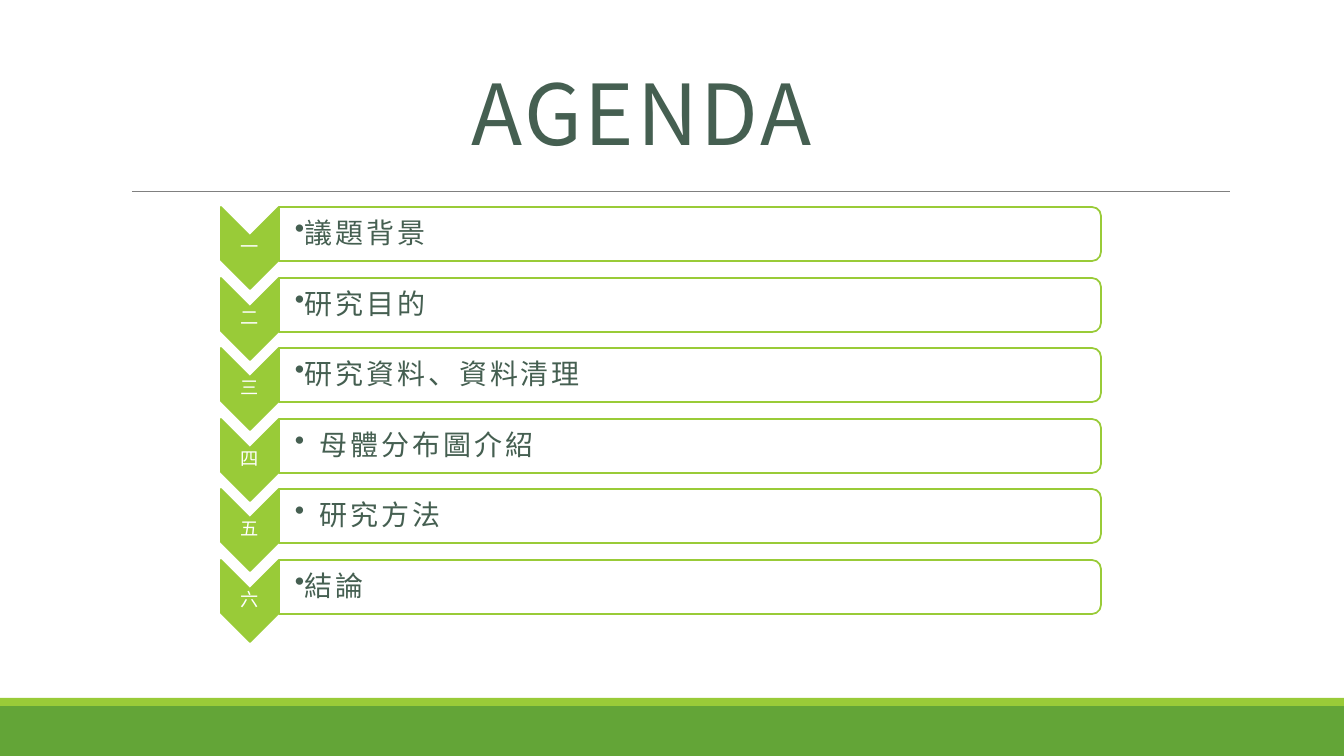
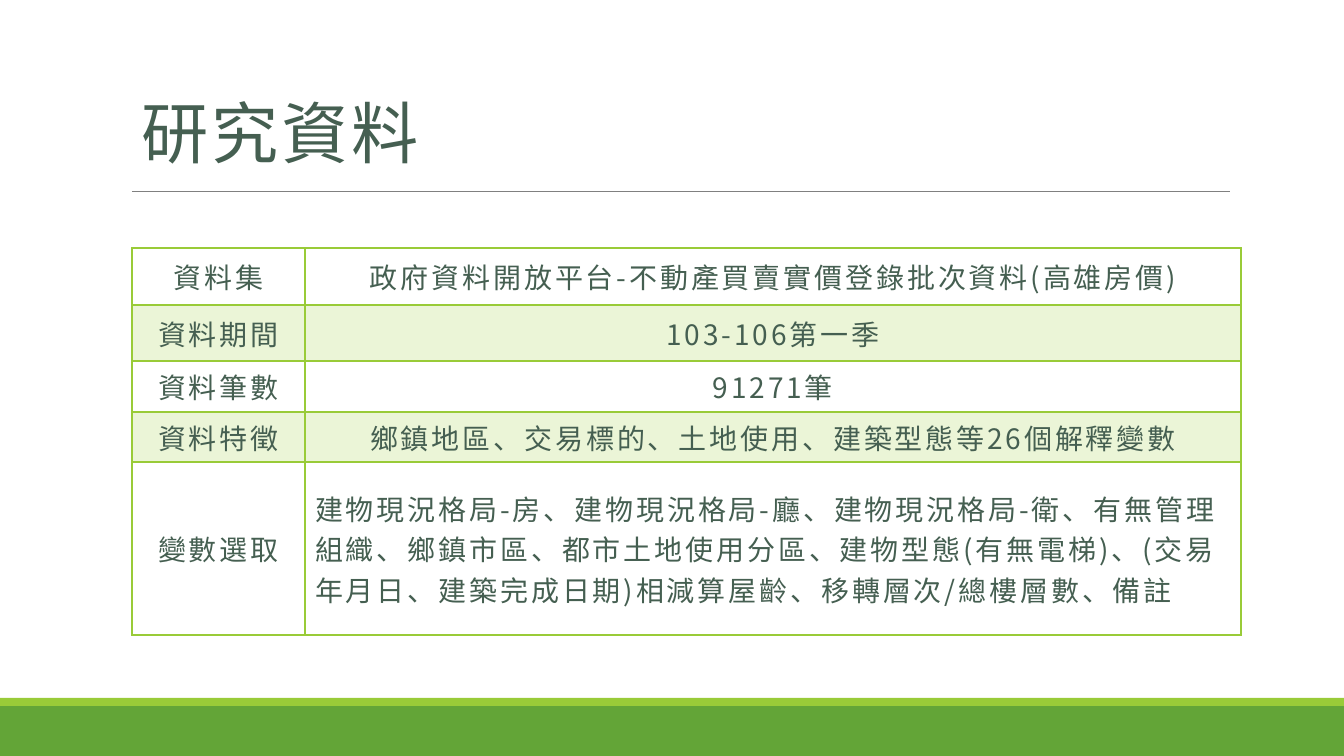
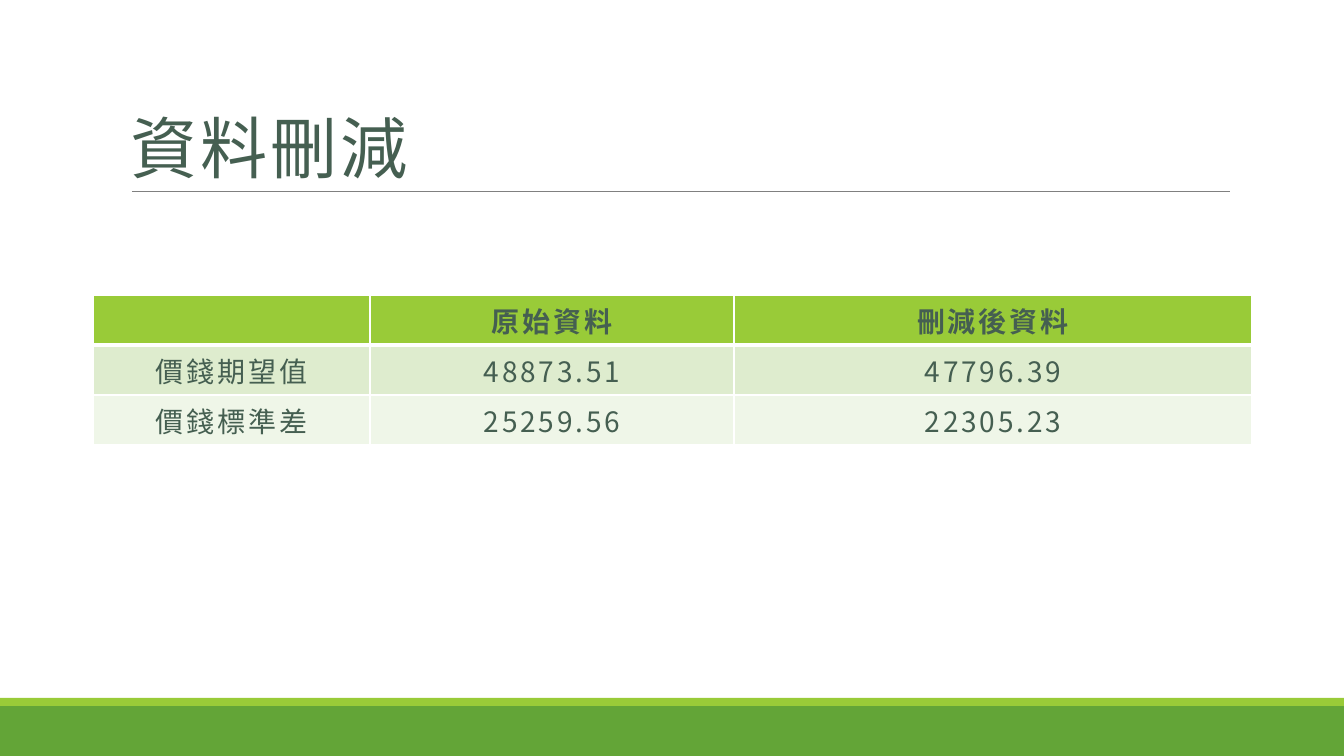
from dataclasses import dataclass

from lxml.etree import SubElement
from pptx import Presentation
from pptx.dml.color import RGBColor
from pptx.enum.shapes import MSO_CONNECTOR as Connector, MSO_SHAPE as Shape
from pptx.enum.text import MSO_ANCHOR as Anchor, PP_ALIGN as Align
from pptx.oxml.ns import qn
from pptx.oxml.xmlchemy import OxmlElement
from pptx.util import Emu, Pt

EMU_PER_PX = 914400 / 100.8
SLIDE_W, SLIDE_H = 1344, 756

WHITE = RGBColor(0xFF, 0xFF, 0xFF)
GREEN = RGBColor(0x63, 0xA5, 0x37)
LIME = RGBColor(0x99, 0xCB, 0x38)
PALE_LIME = RGBColor(0xEB, 0xF5, 0xD7)
BAND_DARK = RGBColor(0xDE, 0xEC, 0xCE)
BAND_LIGHT = RGBColor(0xEF, 0xF6, 0xE8)
SLATE = RGBColor(0x45, 0x5F, 0x51)
GRAY = RGBColor(0x80, 0x80, 0x80)

BODY_FONT = "Noto Sans CJK SC"
NUMERAL_FONT = "Calibri"


@dataclass(frozen=True)
class Box:
    left: int
    top: int
    width: int
    height: int

    def emu(self):
        return [px(n) for n in (self.left, self.top, self.width, self.height)]

    def down(self, distance):
        return Box(self.left, self.top + distance, self.width, self.height)

    def turned(self):
        """The box which covers this one after a quarter turn."""
        shift = (self.width - self.height) // 2
        return Box(self.left + shift, self.top - shift, self.height, self.width)


@dataclass(frozen=True)
class TextStyle:
    size: int
    font: str = BODY_FONT
    color: RGBColor = SLATE
    spacing: int = 2
    bold: bool = False


@dataclass(frozen=True)
class AgendaItem:
    numeral: str
    topic: str
    indent: int = 0


@dataclass(frozen=True)
class TableLook:
    row_fills: list[RGBColor]
    border: RGBColor
    header_rule: int
    header_bold: bool
    anchor: Anchor


HEADING = TextStyle(48)
BIG_HEADING = TextStyle(60)
BODY = TextStyle(20)
BODY_BOLD = TextStyle(20, bold=True)
NUMERAL = TextStyle(13, NUMERAL_FONT, WHITE, spacing=0)

AGENDA = [
    AgendaItem("一", "議題背景"),
    AgendaItem("二", "研究目的"),
    AgendaItem("三", "研究資料、資料清理"),
    AgendaItem("四", "母體分布圖介紹", indent=25),
    AgendaItem("五", "研究方法", indent=25),
    AgendaItem("六", "結論"),
]
AGENDA_SPAN = 353
CHEVRON = Box(221, 207, 58, 82)
CARD = Box(279, 207, 822, 54)
NUMERAL_BOX = Box(221, 236, 58, 24)
TOPIC_BOX = Box(279, 210, 819, 48)
BULLET_HANG = 25

DATASET_ROWS = [
    ["資料集", "政府資料開放平台-不動產買賣實價登錄批次資料(高雄房價)"],
    ["資料期間", "103-106第一季"],
    ["資料筆數", "91271筆"],
    ["資料特徵", "鄉鎮地區、交易標的、土地使用、建築型態等26個解釋變數"],
    ["變數選取", "建物現況格局-房、建物現況格局-廳、建物現況格局-衛、有無管理組織、"
     "鄉鎮市區、都市土地使用分區、建物型態(有無電梯)、"
     "(交易年月日、建築完成日期)相減算屋齡、移轉層次/總樓層數、備註"],
]
DATASET_LOOK = TableLook([WHITE, PALE_LIME, WHITE, PALE_LIME, WHITE],
                         LIME, 2, False, Anchor.MIDDLE)

PRICE_ROWS = [
    ["", "原始資料", "刪減後資料"],
    ["價錢期望值", "48873.51", "47796.39"],
    ["價錢標準差", "25259.56", "22305.23"],
]
PRICE_LOOK = TableLook([LIME, BAND_DARK, BAND_LIGHT], WHITE, 3, True, Anchor.TOP)


def px(length: float) -> Emu:
    return Emu(round(length * EMU_PER_PX))


def format_paragraph(paragraph, style: TextStyle, align=Align.LEFT, leading=None):
    paragraph.alignment = align
    if leading:
        paragraph.line_spacing = leading
    for run in paragraph.runs:
        font = run.font
        font.size, font.name, font.bold = Pt(style.size), style.font, style.bold
        font.color.rgb = style.color
        properties = font._element
        properties.set("spc", str(style.spacing * 100))
        SubElement(properties, qn("a:ea")).set("typeface", style.font)


def add_text(slide, box: Box, text: str, style: TextStyle, align=Align.LEFT,
             anchor=Anchor.MIDDLE, leading=0.9, insets=(1, 1, 1, 1)):
    """Insets run left, top, right, bottom. Returns the paragraph."""
    frame = slide.shapes.add_textbox(*box.emu()).text_frame
    frame.word_wrap = True
    frame.vertical_anchor = anchor
    (frame.margin_left, frame.margin_top,
     frame.margin_right, frame.margin_bottom) = map(px, insets)
    frame.text = text
    paragraph = frame.paragraphs[0]
    format_paragraph(paragraph, style, align, leading)
    return paragraph


def add_filled(slide, preset: Shape, box: Box, fill: RGBColor, line=None, rotation=0):
    shape = slide.shapes.add_shape(preset, *box.emu())
    shape.shadow.inherit = False
    shape.rotation = rotation
    shape.fill.solid()
    shape.fill.fore_color.rgb = fill
    if line is None:
        shape.line.fill.background()
    else:
        shape.line.color.rgb = line
        shape.line.width = Pt(1.25)


def add_bullet(paragraph, indent: int):
    properties = paragraph._p.get_or_add_pPr()
    properties.set("marL", str(px(indent)))
    properties.set("indent", str(-px(BULLET_HANG)))
    SubElement(properties, qn("a:buChar")).set("char", "•")


def add_base_slide(deck, title: str, title_box: Box, style=HEADING, align=Align.LEFT):
    """A blank slide with the bottom bands, the title and the rule below it."""
    slide = deck.slides.add_slide(deck.slide_layouts[6])
    add_filled(slide, Shape.RECTANGLE, Box(0, 706, SLIDE_W, 50), GREEN)
    add_filled(slide, Shape.RECTANGLE, Box(0, 698, SLIDE_W, 8), LIME)
    rule = slide.shapes.add_connector(Connector.STRAIGHT,
                                      px(132), px(191), px(1230), px(191))
    rule.line.color.rgb = GRAY
    rule.line.width = Pt(0.5)
    SubElement(rule._element.spPr, qn("a:effectLst"))
    add_text(slide, title_box, title, style, align, Anchor.BOTTOM,
             leading=0.85, insets=(10, 5, 10, 5))
    return slide


def set_borders(cell, color: RGBColor, top: int, bottom: int):
    properties = cell._tc.get_or_add_tcPr()
    widths = {"a:lnL": 1, "a:lnR": 1, "a:lnT": top, "a:lnB": bottom}
    for place, (tag, width) in enumerate(widths.items()):
        line = OxmlElement(tag)
        line.set("w", str(Pt(width)))
        fill = SubElement(line, qn("a:solidFill"))
        SubElement(fill, qn("a:srgbClr")).set("val", str(color))
        properties.insert(place, line)


def add_styled_table(slide, left: int, top: int, col_widths: list[int],
                     row_heights: list[int], rows: list[list[str]], look: TableLook):
    box = Box(left, top, sum(col_widths), sum(row_heights))
    table = slide.shapes.add_table(len(rows), len(col_widths), *box.emu()).table
    table.first_row = table.horz_banding = False
    for column, width in zip(table.columns, col_widths):
        column.width = px(width)
    for r, (row, height, texts) in enumerate(zip(table.rows, row_heights, rows)):
        row.height = px(height)
        style = BODY_BOLD if r == 0 and look.header_bold else BODY
        for cell, text in zip(row.cells, texts):
            cell.text = text
            cell.vertical_anchor = look.anchor
            cell.fill.solid()
            cell.fill.fore_color.rgb = look.row_fills[r]
            set_borders(cell, look.border,
                        top=look.header_rule if r == 1 else 1,
                        bottom=look.header_rule if r == 0 else 1)
            format_paragraph(cell.text_frame.paragraphs[0], style, Align.CENTER)
    return table


def build_agenda(deck):
    slide = add_base_slide(deck, "AGENDA", Box(89, -25, 1105, 193),
                           BIG_HEADING, Align.CENTER)
    for i, item in enumerate(AGENDA):
        drop = round(i * AGENDA_SPAN / (len(AGENDA) - 1))
        add_filled(slide, Shape.CHEVRON, CHEVRON.down(drop).turned(), LIME, LIME, 90)
        add_text(slide, NUMERAL_BOX.down(drop), item.numeral, NUMERAL, Align.CENTER)
        add_filled(slide, Shape.ROUND_2_SAME_RECTANGLE, CARD.down(drop).turned(),
                   WHITE, LIME, 90)
        topic = add_text(slide, TOPIC_BOX.down(drop), item.topic, BODY,
                         insets=(16, 1, 1, 1))
        add_bullet(topic, item.indent)


def build_dataset(deck):
    slide = add_base_slide(deck, "研究資料", Box(132, 55, 1109, 122))
    table = add_styled_table(slide, 132, 248, [173, 936], [57, 56, 51, 50, 173],
                             DATASET_ROWS, DATASET_LOOK)
    variables = table.cell(len(DATASET_ROWS) - 1, 1)
    variables.text_frame.paragraphs[0].alignment = Align.LEFT


def build_price_comparison(deck):
    slide = add_base_slide(deck, "資料刪減", Box(121, 31, 1109, 161))
    add_styled_table(slide, 93, 295, [277, 364, 518], [50] * len(PRICE_ROWS),
                     PRICE_ROWS, PRICE_LOOK)


def main():
    deck = Presentation()
    deck.slide_width, deck.slide_height = px(SLIDE_W), px(SLIDE_H)
    build_agenda(deck)
    build_dataset(deck)
    build_price_comparison(deck)
    deck.save("out.pptx")


if __name__ == "__main__":
    main()
